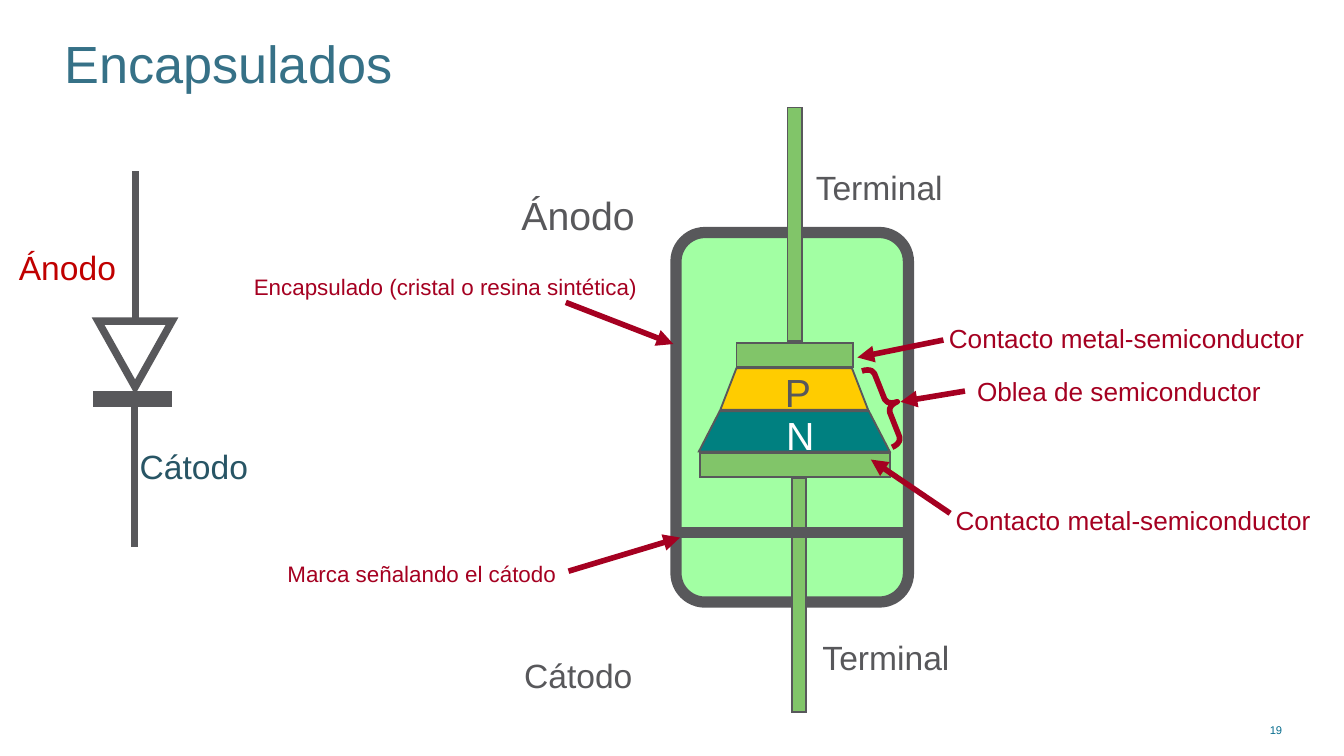
import pptx
import pptx.util
import pptx.dml.color
import pptx.enum.shapes
import pptx.enum.text
import pptx.oxml

Inches = pptx.util.Inches
Pt = pptx.util.Pt
RGBColor = pptx.dml.color.RGBColor
SHAPE = pptx.enum.shapes.MSO_SHAPE
ANCHOR = pptx.enum.text.MSO_ANCHOR
ALIGN = pptx.enum.text.PP_ALIGN

GRAY = RGBColor(0x58, 0x58, 0x5B)
CRIMSON = RGBColor(0xA5, 0x00, 0x21)
RED = RGBColor(0xC0, 0x00, 0x00)
NAVY = RGBColor(0x28, 0x55, 0x65)
BLUE = RGBColor(0x36, 0x71, 0x87)
PAGE_BLUE = RGBColor(0x08, 0x6D, 0x8E)
GLASS = RGBColor(0xA2, 0xFF, 0xA3)
METAL = RGBColor(0x81, 0xC5, 0x69)
TEAL = RGBColor(0x00, 0x80, 0x80)
YELLOW = RGBColor(0xFF, 0xCC, 0x00)
WHITE = RGBColor(0xFF, 0xFF, 0xFF)

SLIDE_WIDTH = Inches(10)
SLIDE_HEIGHT = SLIDE_WIDTH * 9 // 16
NARROW = (0.07, 0.04)
REGULAR = (0.1, 0.05)

SHAPES = [
    (SHAPE.ISOSCELES_TRIANGLE, (0.73, 2.39, 0.55, 0.49), None, GRAY, 4, 180, [0.5]),
    (SHAPE.RECTANGLE, (0.7, 2.92, 0.57, 0.1), GRAY, GRAY, 1, 0, []),
    (SHAPE.ROUNDED_RECTANGLE, (5.03, 1.73, 1.73, 2.75), GLASS, GRAY, 6, 0, [0.125]),
    (SHAPE.RECTANGLE, (5.48, 2.55, 0.87, 0.18), METAL, GRAY, 1, 0, []),
    (SHAPE.RECTANGLE, (5.21, 3.37, 1.41, 0.18), METAL, GRAY, 1, 0, []),
    (SHAPE.RECTANGLE, (5.86, 0.8, 0.11, 1.74), METAL, GRAY, 1, 0, []),
    (SHAPE.RECTANGLE, (5.89, 3.56, 0.11, 1.74), METAL, GRAY, 1, 0, []),
    (SHAPE.RIGHT_BRACE, (6.52, 2.71, 0.16, 0.61), None, CRIMSON, 3, 338.4, [0.322, 0.507]),
]

WAFER_CENTER = 5.91
WAFER_LAYERS = [
    (3.06, 3.36, 1.11, 1.42, TEAL),
    (2.74, 3.05, 0.86, 1.1, YELLOW),
]

LINES = [
    ((1.01, 2.39), (1.01, 1.27), GRAY, 4, False),
    ((1, 4.07), (1, 2.96), GRAY, 4, False),
    ((5.07, 3.96), (6.73, 3.96), GRAY, 6, False),
    ((4.21, 2.25), (5.01, 2.56), CRIMSON, 3, True),
    ((4.23, 4.25), (5.06, 4), CRIMSON, 3, True),
    ((7.02, 2.53), (6.38, 2.66), CRIMSON, 3, True),
    ((7.07, 3.82), (6.48, 3.42), CRIMSON, 3, True),
    ((7.18, 2.91), (6.7, 2.99), CRIMSON, 3, True),
]

LABELS = [
    ("Encapsulados", (0.38, 0.18, 9, 0.8), 28, BLUE, REGULAR, True),
    ("Ánodo", (3.81, 1.38, 1, 0.43), 21, GRAY, NARROW, False),
    ("Cátodo", (3.83, 4.83, 0.96, 0.38), 18, GRAY, NARROW, False),
    ("Ánodo", (0.07, 1.8, 0.88, 0.38), 18, RED, NARROW, False),
    ("Cátodo", (0.97, 3.28, 0.96, 0.38), 18, NAVY, NARROW, False),
    ("Terminal", (6, 1.2, 1.1, 0.38), 18, GRAY, NARROW, False),
    ("Terminal", (6.05, 4.7, 1.1, 0.38), 18, GRAY, NARROW, False),
    ("P", (5.77, 2.7, 0.35, 0.43), 21, GRAY, NARROW, False),
    ("N", (5.78, 3.02, 0.36, 0.43), 21, WHITE, NARROW, False),
    ("Encapsulado (cristal o resina sintética)", (1.79, 1.98, 3.61, 0.3), 12, CRIMSON, REGULAR, True),
    ("Marca señalando el cátodo", (2.04, 4.12, 2.32, 0.3), 12, CRIMSON, REGULAR, True),
    ("Contacto metal-semiconductor", (6.99, 2.36, 2.93, 0.31), 14, CRIMSON, NARROW, True),
    ("Contacto metal-semiconductor", (7.04, 3.71, 2.93, 0.31), 14, CRIMSON, NARROW, True),
    ("Oblea de semiconductor", (7.2, 2.75, 2.54, 0.31), 14, CRIMSON, NARROW, True),
]


def set_values(target, values):
    for name, value in values.items():
        setattr(target, name, value)


def append_element(parent, tag, **attributes):
    parent.append(parent.makeelement(pptx.oxml.ns.qn(tag), attributes))


def style_shape(shape, fill, line, weight):
    shape.shadow.inherit = False
    if fill is None:
        shape.fill.background()
    else:
        shape.fill.solid()
        shape.fill.fore_color.rgb = fill
    shape.line.color.rgb = line
    shape.line.width = Pt(weight)
    if line == GRAY:
        append_element(shape.line._get_or_add_ln(), "a:miter", lim="800000")


def add_part(slide, kind, box, fill, line, weight, rotation, adjustments):
    shape = slide.shapes.add_shape(kind, *map(Inches, box))
    style_shape(shape, fill, line, weight)
    shape.rotation = rotation
    for index, value in enumerate(adjustments):
        shape.adjustments[index] = value


def add_layer(slide, top, bottom, top_width, bottom_width, fill):
    corners = [
        (Inches(WAFER_CENTER + side * width / 2), Inches(y))
        for side, width, y in [
            (-1, bottom_width, bottom), (-1, top_width, top),
            (1, top_width, top), (1, bottom_width, bottom),
        ]
    ]
    builder = slide.shapes.build_freeform(*corners[0])
    builder.add_line_segments(corners[1:], close=True)
    style_shape(builder.convert_to_shape(), fill, GRAY, 1)


def add_line(slide, start, end, color, weight, arrow):
    connector = slide.shapes.add_connector(
        pptx.enum.shapes.MSO_CONNECTOR.STRAIGHT, *map(Inches, start + end))
    connector.line.color.rgb = color
    connector.line.width = Pt(weight)
    if arrow:
        append_element(connector.line._get_or_add_ln(), "a:tailEnd", type="triangle")
    append_element(connector._element.spPr, "a:effectLst")


def add_label(slide, text, box, size, color, insets, wrap, anchor=ANCHOR.TOP, align=ALIGN.LEFT):
    frame = slide.shapes.add_textbox(*map(Inches, box)).text_frame
    side, edge = map(Inches, insets)
    set_values(frame, {
        "word_wrap": wrap, "vertical_anchor": anchor,
        "margin_left": side, "margin_right": side,
        "margin_top": edge, "margin_bottom": edge,
    })
    paragraph = frame.paragraphs[0]
    paragraph.text = text
    paragraph.alignment = align
    set_values(paragraph.font, {"name": "Arial", "size": Pt(size)})
    paragraph.font.color.rgb = color


def main():
    presentation = pptx.Presentation()
    set_values(presentation, {"slide_width": SLIDE_WIDTH, "slide_height": SLIDE_HEIGHT})
    slide = presentation.slides.add_slide(presentation.slide_layouts[6])
    for part in SHAPES:
        add_part(slide, *part)
    for layer in WAFER_LAYERS:
        add_layer(slide, *layer)
    for line in LINES:
        add_line(slide, *line)
    for label in LABELS:
        add_label(slide, *label)
    add_label(slide, "19", (9.27, 5.34, 0.34, 0.17), 6, PAGE_BLUE, (0.07, 0.03), True,
              ANCHOR.BOTTOM, ALIGN.RIGHT)
    presentation.save("out.pptx")


if __name__ == "__main__":
    main()
